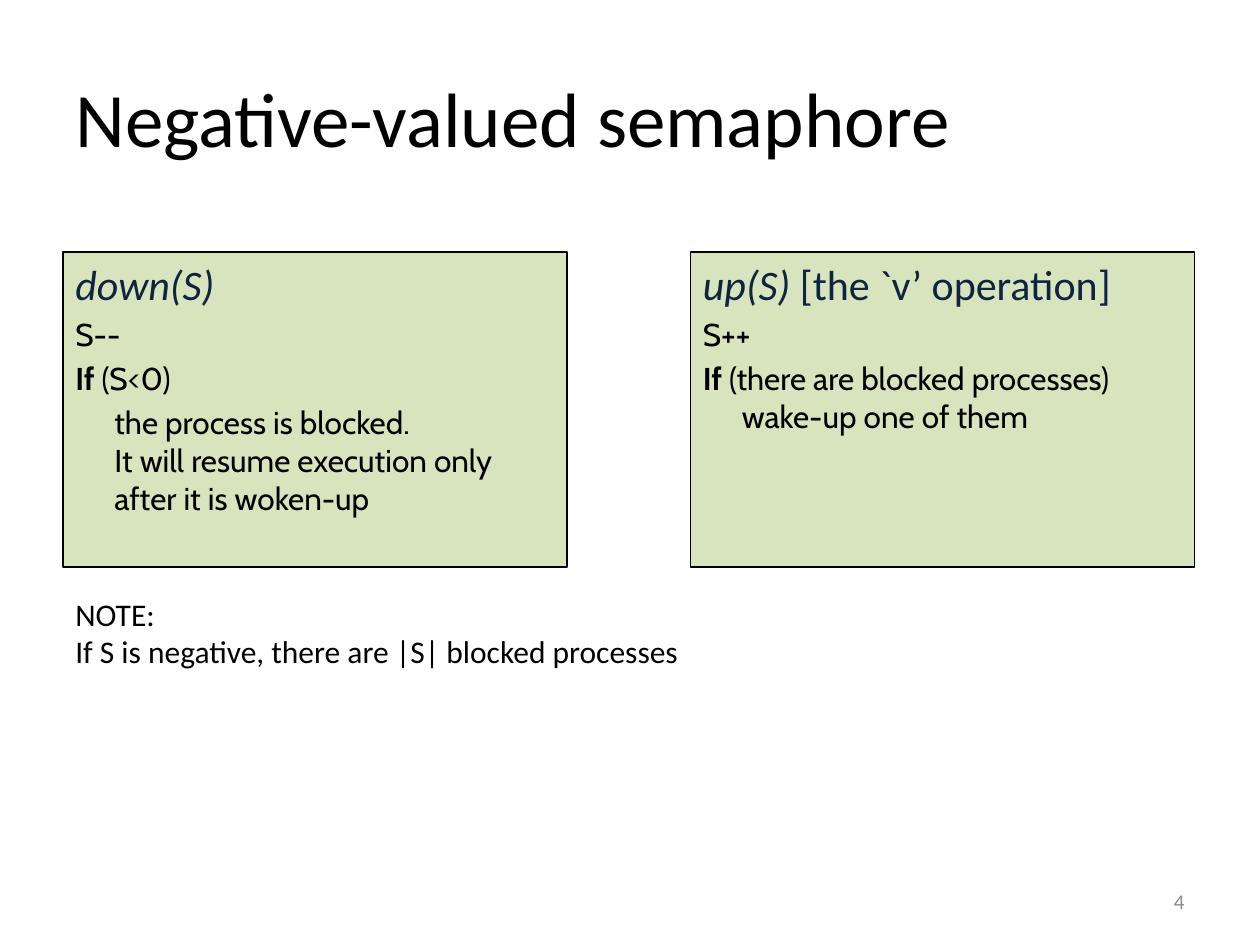
"""Build a slide that explains the down and up operations of a negative-valued semaphore."""
from pptx import Presentation
from pptx.dml.color import RGBColor
from pptx.enum.shapes import MSO_SHAPE
from pptx.enum.text import MSO_ANCHOR, PP_ALIGN
from pptx.util import Inches, Pt

RECTANGLE = MSO_SHAPE.RECTANGLE
TOP, MIDDLE = MSO_ANCHOR.TOP, MSO_ANCHOR.MIDDLE
LEFT, RIGHT = PP_ALIGN.LEFT, PP_ALIGN.RIGHT

BLACK = RGBColor(0x00, 0x00, 0x00)
GREY = RGBColor(0x8C, 0x8C, 0x8C)
NAVY = RGBColor(0x0F, 0x24, 0x3E)
GREEN = RGBColor(0xD7, 0xE4, 0xBD)

HEADING = {"size": 24, "font": "Calibri", "color": NAVY, "indent": 0.38}
CODE = {"size": 18, "font": "Cabin", "color": BLACK, "indent": 0.31}

TITLE = ["Negative-valued semaphore"]
NOTE = ["NOTE:", "If S is negative, there are |S| blocked processes"]
PAGE_NUMBER = ["4"]

OPERATIONS = [
    [
        (HEADING, [("down(S)", "italic")]),
        (CODE, [("S--", None)]),
        (CODE, [("If ", "bold"), ("(S<0)", None)]),
        (CODE, [("\tthe process is blocked. \vIt will resume execution only "
                 "after it is woken-up", None)]),
    ],
    [
        (HEADING, [("up(S) ", "italic"), ("[the `v’ operation]", None)]),
        (CODE, [("S++", None)]),
        (CODE, [("If ", "bold"),
                ("(there are blocked processes) wake-up one of them", None)]),
    ],
]

SLIDE_W, SLIDE_H = 10, 7.5
MARGIN = 0.5
CONTENT_W = SLIDE_W - 2 * MARGIN
BOX_TOP, BOX_W, BOX_H = 2, 4, 2.5
COLUMN_STEP = 4.98
PAGE_W = 2.33


def set_font(paragraph, size, font, color):
    paragraph.font.size = Pt(size)
    paragraph.font.name = font
    paragraph.font.color.rgb = color


def add_text(slide, lines, left, top, width, height, size,
             color=BLACK, anchor=TOP, align=LEFT):
    box = slide.shapes.add_textbox(*map(Inches, (left, top, width, height)))
    frame = box.text_frame
    frame.word_wrap = True
    frame.vertical_anchor = anchor
    frame.text = "\n".join(lines)
    for paragraph in frame.paragraphs:
        paragraph.alignment = align
        set_font(paragraph, size, "Calibri", color)


def add_operation(slide, lines, left):
    box = slide.shapes.add_shape(
        RECTANGLE, *map(Inches, (left, BOX_TOP, BOX_W, BOX_H)))
    box.shadow.inherit = False
    box.fill.solid()
    box.fill.fore_color.rgb = GREEN
    box.line.color.rgb = BLACK
    box.line.width = Pt(0.75)
    frame = box.text_frame
    frame.word_wrap = True
    frame.vertical_anchor = TOP
    for row, (style, pieces) in enumerate(lines):
        paragraph = frame.add_paragraph() if row else frame.paragraphs[0]
        paragraph.alignment = LEFT
        paragraph.space_before = Pt(0.2 * style["size"])
        set_font(paragraph, style["size"], style["font"], style["color"])
        indent = Inches(style["indent"])
        properties = paragraph._p.get_or_add_pPr()
        properties.set("marL", str(indent))
        properties.set("indent", str(-indent))
        for words, emphasis in pieces:
            *before, last = words.split("\v")
            for part in before:
                paragraph.add_run().text = part
                paragraph.add_line_break()
            run = paragraph.add_run()
            run.text = last
            if emphasis:
                setattr(run.font, emphasis, True)


def main():
    deck = Presentation()
    deck.slide_width, deck.slide_height = Inches(SLIDE_W), Inches(SLIDE_H)
    slide = deck.slides.add_slide(deck.slide_layouts[6])
    add_text(slide, TITLE, MARGIN, 0.3, CONTENT_W, 1.25, 44, anchor=MIDDLE)
    add_text(slide, PAGE_NUMBER, SLIDE_W - MARGIN - PAGE_W, 6.95, PAGE_W, 0.4,
             12, GREY, MIDDLE, RIGHT)
    add_text(slide, NOTE, MARGIN, 4.67, CONTENT_W, 1.01, 18)
    for column, lines in enumerate(OPERATIONS):
        add_operation(slide, lines, MARGIN + column * COLUMN_STEP)
    deck.save("out.pptx")


if __name__ == "__main__":
    main()
